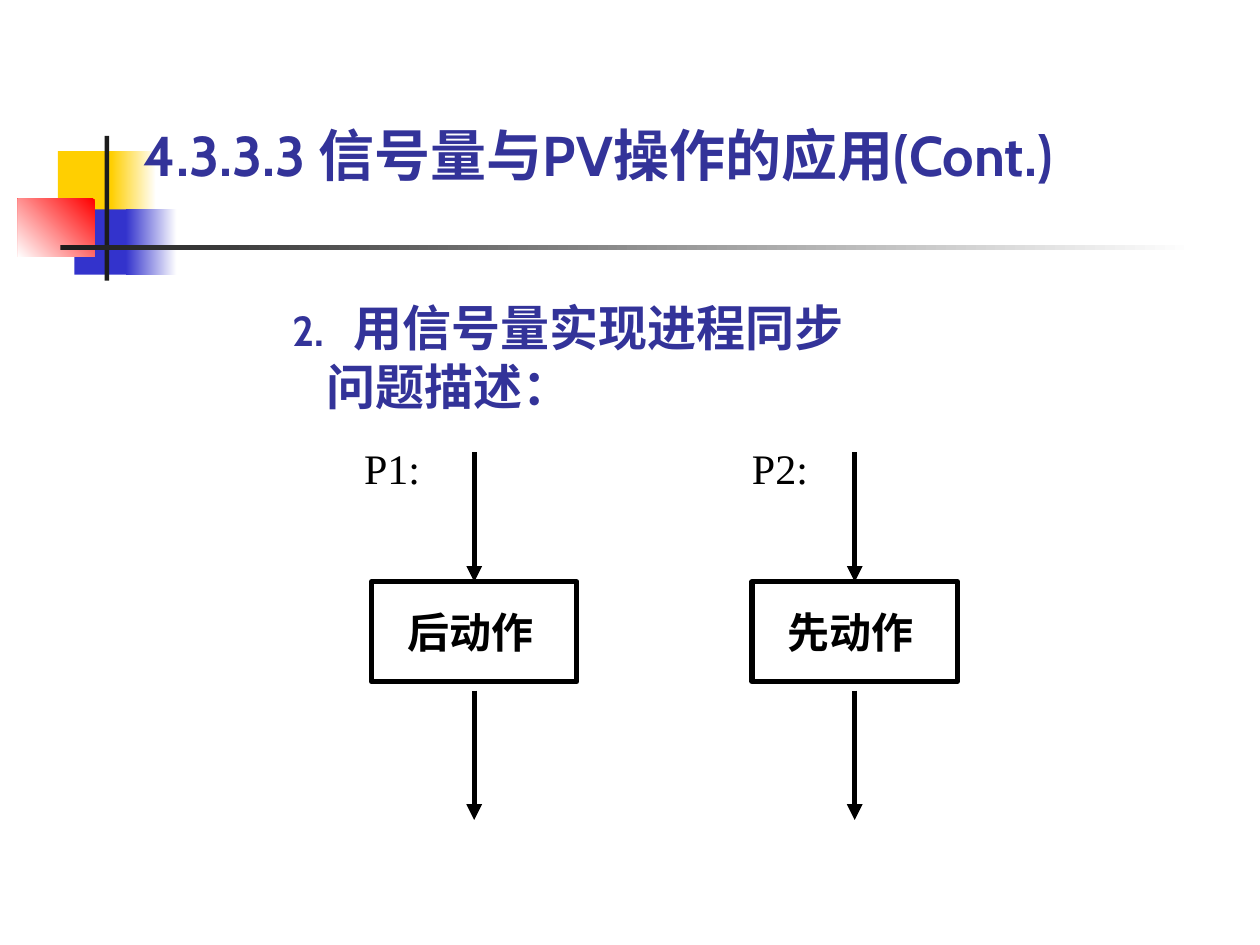
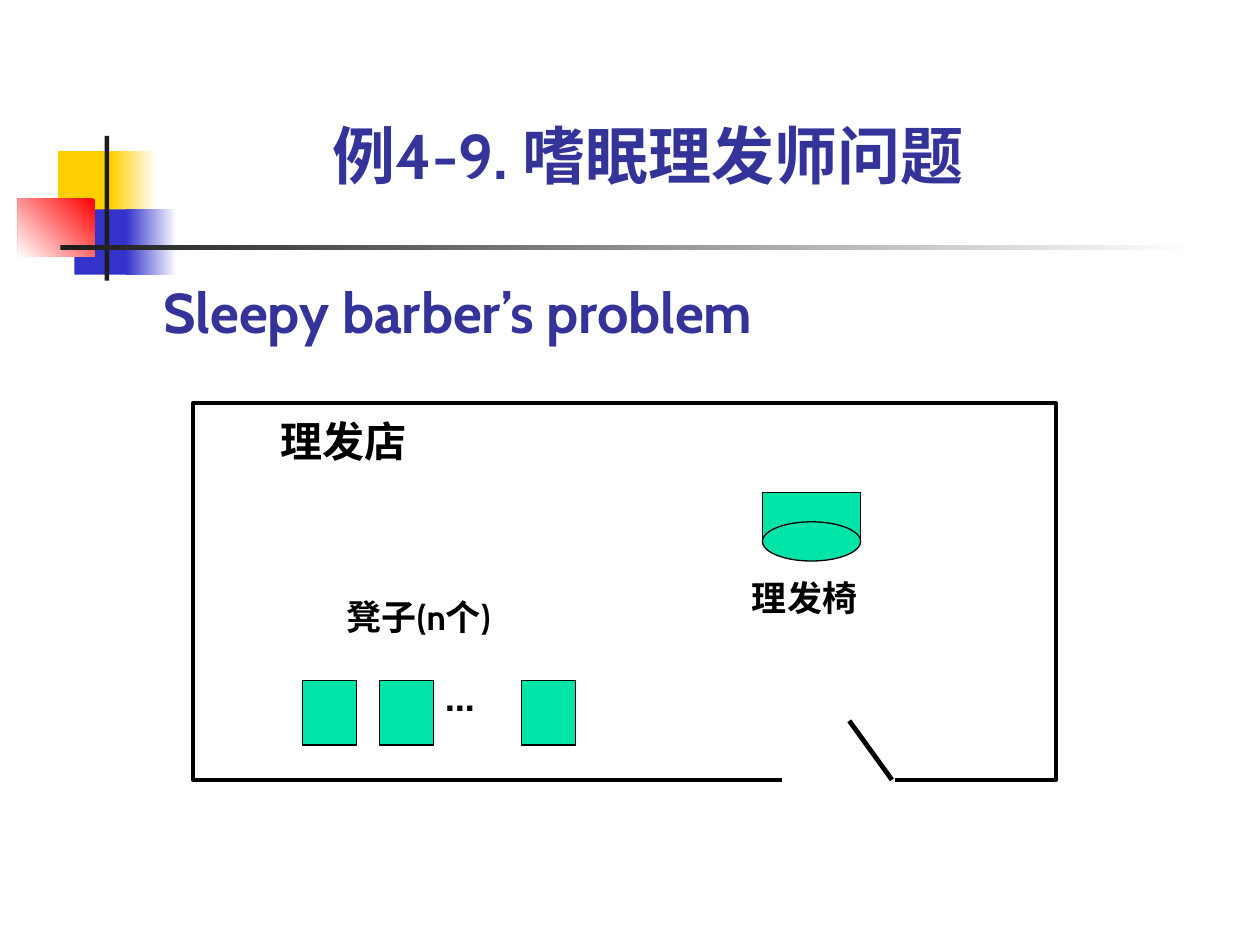
from pptx import Presentation
from pptx.dml.color import RGBColor
from pptx.enum.shapes import MSO_CONNECTOR, MSO_SHAPE
from pptx.enum.text import MSO_ANCHOR, MSO_AUTO_SIZE, PP_ALIGN
from pptx.oxml.ns import qn
from pptx.util import Cm, Pt
from lxml import etree

RECT, OVAL = MSO_SHAPE.RECTANGLE, MSO_SHAPE.OVAL
STRAIGHT = MSO_CONNECTOR.STRAIGHT
TOP, MIDDLE, BOTTOM = MSO_ANCHOR.TOP, MSO_ANCHOR.MIDDLE, MSO_ANCHOR.BOTTOM
LEFT, NO_FIT = PP_ALIGN.LEFT, MSO_AUTO_SIZE.NONE

INDIGO, BLACK, WHITE = "333399", "000000", "FFFFFF"
YELLOW, BLUE, RED, CHARCOAL = "FFCF01", "3333CC", "FF0000", "1C1C1C"
GREEN = "00E4A8"
LATIN, CJK, SERIF, HAND = "Cabin", "Noto Sans CJK SC", "Times New Roman", "Comic Neue"


def rgb(value):
    return RGBColor.from_string(value)


def add_run(p, text, size, color=BLACK, font=LATIN, bold=True, ea=CJK):
    r = p.add_run()
    r.text = text
    r.font.size = Pt(size)
    r.font.name = font
    r.font.bold = bold
    r.font.color.rgb = rgb(color)
    etree.SubElement(r.font._element, qn("a:ea")).set("typeface", ea)


def set_frame(tf, anchor=TOP):
    tf.margin_left = tf.margin_right = tf.margin_top = tf.margin_bottom = 0
    tf.auto_size = NO_FIT
    tf.word_wrap = True
    tf.vertical_anchor = anchor
    tf.paragraphs[0].alignment = LEFT


def add_box(s, left, top, width, height, anchor=TOP):
    tf = s.shapes.add_textbox(Cm(left), Cm(top), Cm(width), Cm(height)).text_frame
    set_frame(tf, anchor)
    return tf


def add_label(s, left, top, width, text, size, **style):
    tf = add_box(s, left, top, width, size * 0.05)
    add_run(tf.paragraphs[0], text, size, **style)


def add_shape(s, left, top, width, height, fill=None, line=None, weight=0.75, kind=RECT):
    sp = s.shapes.add_shape(kind, Cm(left), Cm(top), Cm(width), Cm(height))
    sp.shadow.inherit = False
    if fill:
        sp.fill.solid()
        sp.fill.fore_color.rgb = rgb(fill)
    else:
        sp.fill.background()
    if line:
        sp.line.color.rgb = rgb(line)
        sp.line.width = Pt(weight)
    else:
        sp.line.fill.background()
    return sp


def add_fade(s, left, top, width, height, color, angle=0):
    sp = add_shape(s, left, top, width, height)
    sp.fill.gradient()
    sp.fill.gradient_angle = angle
    for stop, value, position in zip(sp.fill.gradient_stops, (color, WHITE), (0, 1)):
        stop.color.rgb = rgb(value)
        stop.position = position
    return sp


def add_line(s, x1, y1, x2, y2, weight, arrow=False):
    cxn = s.shapes.add_connector(STRAIGHT, Cm(x1), Cm(y1), Cm(x2), Cm(y2))
    cxn.line.color.rgb = rgb(BLACK)
    cxn.line.width = Pt(weight)
    if arrow:
        etree.SubElement(cxn.line._get_or_add_ln(), qn("a:tailEnd")).set("type", "triangle")
    etree.SubElement(cxn.element.spPr, qn("a:effectLst"))
    return cxn


def decorate_layout(layout, s):
    for ph in list(layout.placeholders)[1:]:
        ph.element.getparent().remove(ph.element)
    ornaments = [
        add_shape(s, 1.17, 3.05, 1.22, 1.32, YELLOW),
        add_fade(s, 2.24, 3.05, 0.91, 1.32, YELLOW),
        add_shape(s, 1.5, 4.22, 1.17, 1.32, BLUE),
        add_fade(s, 2.54, 4.22, 1.02, 1.32, BLUE),
        add_fade(s, 0.36, 4.01, 1.55, 1.17, RED, 225),
        add_shape(s, 2.11, 2.74, 0.09, 2.92, CHARCOAL),
        add_fade(s, 1.22, 4.94, 22.86, 0.1, CHARCOAL),
    ]
    for sp in ornaments:
        layout.shapes.element.append(sp.element)


def set_title(s, text, size, left, bottom, width):
    title = s.shapes.title
    height = 1.8
    title.left, title.top = Cm(left), Cm(bottom - height)
    title.width, title.height = Cm(width), Cm(height)
    set_frame(title.text_frame, BOTTOM)
    add_run(title.text_frame.paragraphs[0], text, size, INDIGO)


def add_topic(s, left, top, width, height):
    tf = add_box(s, left, top, width, height, BOTTOM)
    p = tf.paragraphs[0]
    indent = Cm(1.24)
    pPr = p._p.get_or_add_pPr()
    pPr.set("marL", str(indent))
    pPr.set("indent", str(-indent))
    add_run(p, "2.\t", 24, INDIGO)
    add_run(p, "用信号量实现进程同步", 28, INDIGO, CJK)
    p = tf.add_paragraph()
    p._p.get_or_add_pPr().set("marL", str(Cm(0.69)))
    add_run(p, "问题描述：", 28, INDIGO, CJK)


def add_process(s, left, top, name, action, name_shift):
    width, height, arrow_length = 4.14, 2.01, 2.61
    box_top, middle = top + 2.81, left + width / 2
    add_label(s, left + name_shift, top, 1.6, name, 24, font=SERIF, bold=False)
    box = add_shape(s, left, box_top, width, height, line=BLACK, weight=3)
    set_frame(box.text_frame, MIDDLE)
    box.text_frame.margin_left = Cm(0.72)
    add_run(box.text_frame.paragraphs[0], action, 24, font=HAND)
    entry = add_line(s, middle, box_top - arrow_length, middle, box_top, 3, arrow=True)
    entry.end_connect(box, 0)
    exit_top = box_top + height + 0.18
    add_line(s, middle, exit_top, middle, exit_top + arrow_length, 3, arrow=True)


def add_barber_shop(s, left, top, width, height):
    add_shape(s, left, top, width, height, WHITE, BLACK, 2.5)
    add_label(s, left + 1.77, top + 0.25, 3.2, "理发店", 24)

    add_label(s, left + 3.1, top + 3.88, 4.2, "凳子(n个)", 20)
    for stool_x in (2.21, 3.76, 6.63):
        add_shape(s, left + stool_x, top + 5.59, 1.09, 1.3, GREEN, BLACK)
    add_label(s, left + 5.1, top + 5.36, 1.4, "…", 24, ea=LATIN)

    chair_x = left + 11.48
    add_shape(s, chair_x, top + 1.8, 1.98, 0.99, GREEN, BLACK)
    add_shape(s, chair_x, top + 2.39, 1.98, 0.79, GREEN, BLACK, kind=OVAL)
    add_label(s, left + 11.27, top + 3.5, 2.6, "理发椅", 20)

    add_shape(s, left + 11.91, top + 6.81, 2.21, 1.6, WHITE, WHITE, 1.5)
    add_line(s, left + 14.09, top + height, left + 13.23, top + 6.4, 2.75)


def build_sync_slide(s):
    set_title(s, "4.3.3.3 信号量与PV操作的应用(Cont.)", 32, 2.9, 3.78, 21.4)
    add_topic(s, 5.89, 5.44, 12, 2.94)
    add_process(s, 7.49, 8.92, "P1:", "后动作", -0.15)
    add_process(s, 15.16, 8.92, "P2:", "先动作", 0)


def build_barber_slide(s):
    set_title(s, "例4-9. 嗜眠理发师问题", 36, 6.71, 3.87, 14.5)
    add_label(s, 3.3, 5.59, 15.4, "Sleepy barber’s problem", 32, color=INDIGO)
    add_barber_shop(s, 3.89, 8.13, 17.4, 7.59)


def main():
    prs = Presentation()
    prs.slide_width, prs.slide_height = Cm(25.4), Cm(19.05)
    layout = prs.slide_layouts[5]
    for number, build in enumerate((build_sync_slide, build_barber_slide)):
        s = prs.slides.add_slide(layout)
        if number == 0:
            decorate_layout(layout, s)
        build(s)
    prs.save("out.pptx")


if __name__ == "__main__":
    main()
